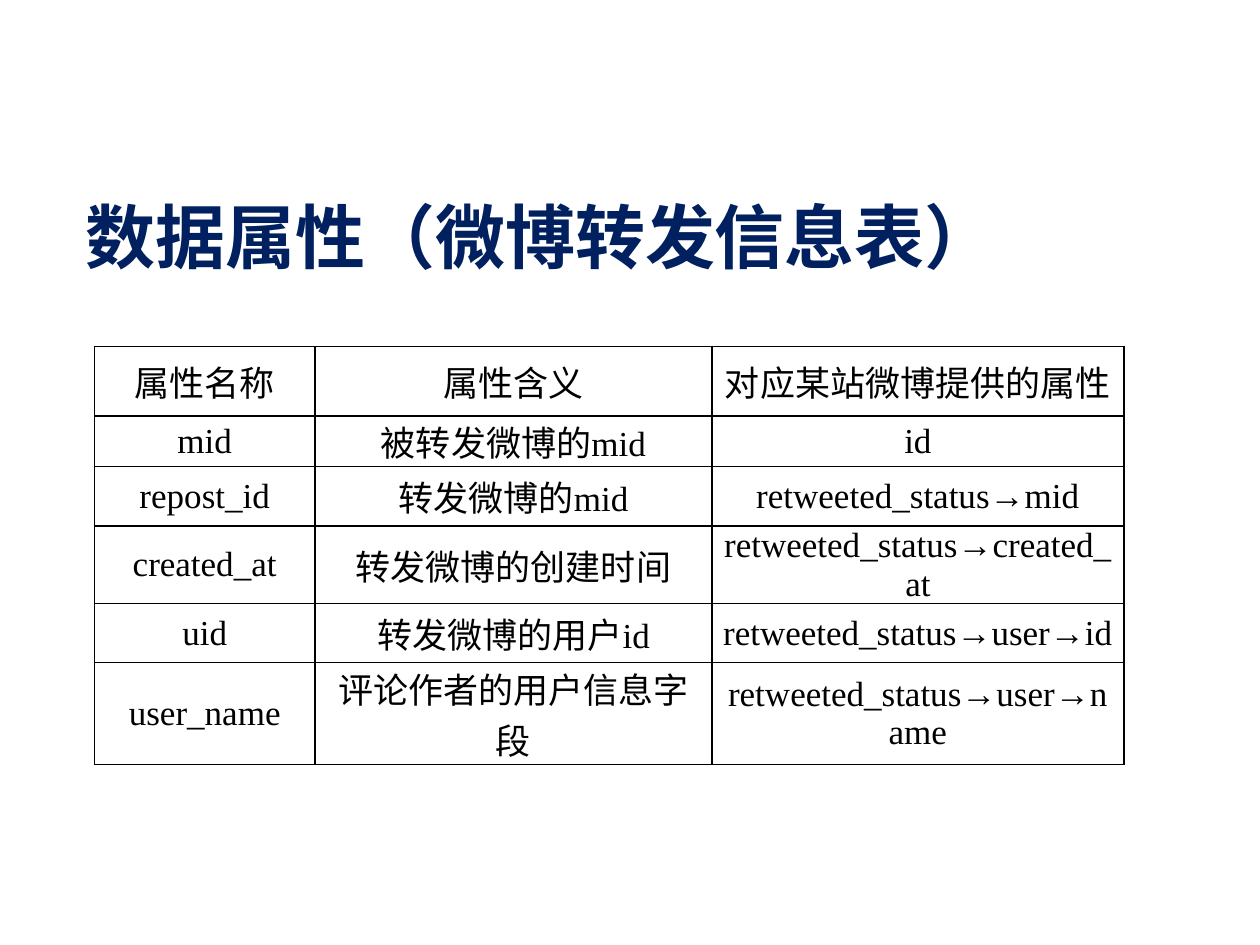
import dataclasses

import lxml.etree
import pptx
import pptx.dml.color
import pptx.enum.text
import pptx.oxml.ns
import pptx.util

PX = 9144  # EMU in one px, 100 px to the inch
NAVY = pptx.dml.color.RGBColor(0x00, 0x20, 0x60)
BLACK = pptx.dml.color.RGBColor(0x00, 0x00, 0x00)
ALIGN = pptx.enum.text.PP_ALIGN
MIDDLE = pptx.enum.text.MSO_ANCHOR.MIDDLE


@dataclasses.dataclass(frozen=True)
class Attribute:
    name: str
    meaning: str
    source: str
    height: int = 47


ATTRIBUTES = [
    Attribute("属性名称", "属性含义", "对应某站微博提供的属性", 55),
    Attribute("mid", "被转发微博的mid", "id", 40),
    Attribute("repost_id", "转发微博的mid", "retweeted_status→mid"),
    Attribute("created_at", "转发微博的创建时间", "retweeted_status→created_at"),
    Attribute("uid", "转发微博的用户id", "retweeted_status→user→id"),
    Attribute("user_name", "评论作者的用户信息字段", "retweeted_status→user→name"),
]
COLUMN_WIDTHS = [175, 315, 327]


def px(n: int) -> pptx.util.Emu:
    return pptx.util.Emu(n * PX)


def write(tf, text: str, *, size: int, font: str, color, align, bold=False, spacing=None) -> None:
    p = tf.paragraphs[0]
    p.alignment = align
    p.line_spacing = spacing
    r = p.add_run()
    r.text = text
    r.font.size = pptx.util.Pt(size)
    r.font.name = font
    r.font.bold = bold
    r.font.color.rgb = color


def add_borders(cell) -> None:
    tc_pr = cell._tc.get_or_add_tcPr()
    qn = pptx.oxml.ns.qn
    for i, side in enumerate(("a:lnL", "a:lnR", "a:lnT", "a:lnB")):
        ln = lxml.etree.Element(qn(side), w=str(pptx.util.Pt(1)))
        fill = lxml.etree.SubElement(ln, qn("a:solidFill"))
        lxml.etree.SubElement(fill, qn("a:srgbClr"), val=str(BLACK))
        tc_pr.insert(i, ln)  # borders come before the fill


def add_title(slide, text: str) -> None:
    sp = slide.shapes.title
    sp.left, sp.top, sp.width, sp.height = px(58), px(142), px(742), px(98)
    tf = sp.text_frame
    tf.word_wrap = True
    tf.auto_size = pptx.enum.text.MSO_AUTO_SIZE.NONE
    tf.vertical_anchor = MIDDLE
    tf.margin_right = 0
    write(tf, text, size=40, font="Calibri", color=NAVY, align=ALIGN.LEFT, bold=True, spacing=0.9)


def add_attribute_table(slide, attributes: list[Attribute], left: int, top: int) -> None:
    height = sum(a.height for a in attributes)
    table = slide.shapes.add_table(
        len(attributes), len(COLUMN_WIDTHS),
        px(left), px(top), px(sum(COLUMN_WIDTHS)), px(height),
    ).table
    table.first_row = table.horz_banding = False
    for column, width in zip(table.columns, COLUMN_WIDTHS):
        column.width = px(width)
    for row, attribute in zip(table.rows, attributes):
        row.height = px(attribute.height)
        texts = (attribute.name, attribute.meaning, attribute.source)
        for cell, text in zip(row.cells, texts):
            cell.fill.background()
            cell.vertical_anchor = MIDDLE
            cell.margin_left = cell.margin_right = px(7)
            cell.margin_top = cell.margin_bottom = 0
            add_borders(cell)
            write(cell.text_frame, text, size=20, font="Times New Roman",
                  color=BLACK, align=ALIGN.CENTER)


def main() -> None:
    prs = pptx.Presentation()
    prs.slide_width, prs.slide_height = px(1000), px(750)
    slide = prs.slides.add_slide(prs.slide_layouts[5])  # title only
    add_title(slide, "数据属性（微博转发信息表）")
    add_attribute_table(slide, ATTRIBUTES, left=75, top=275)
    prs.save("out.pptx")


if __name__ == "__main__":
    main()
